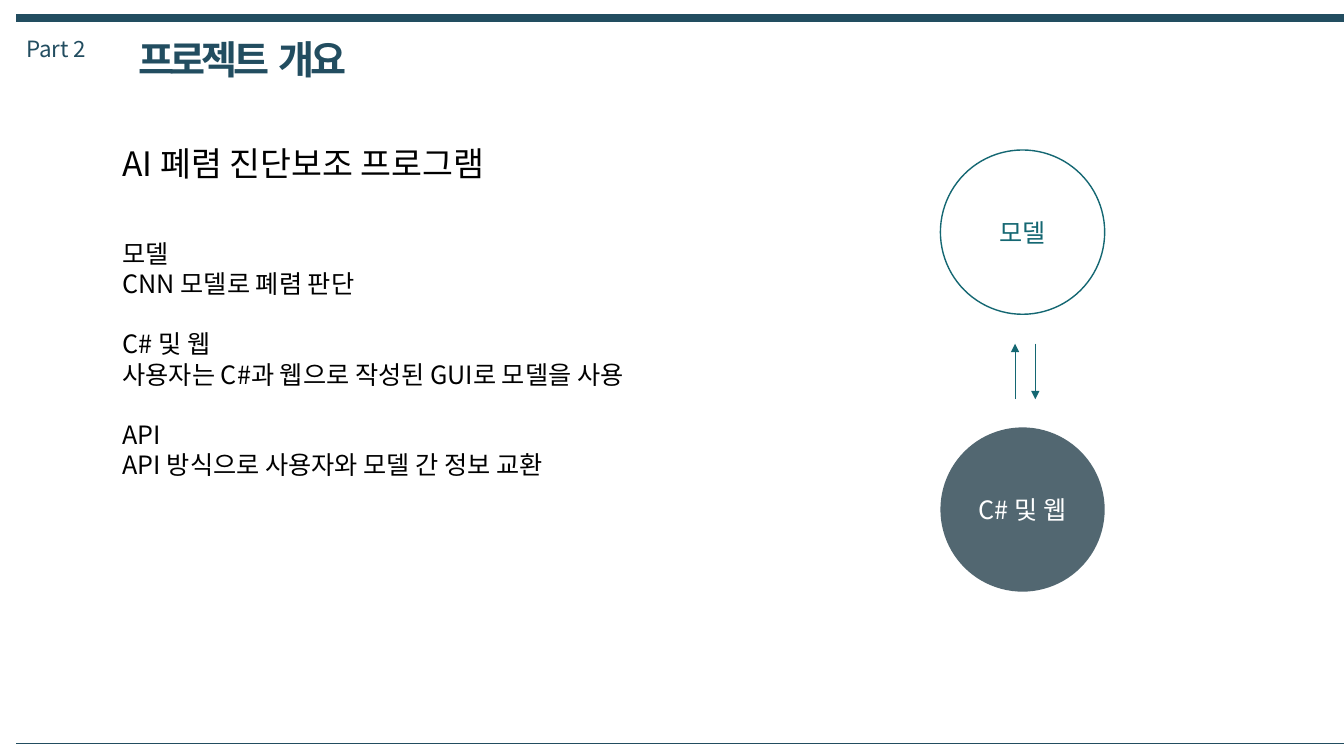
from lxml.etree import SubElement
from pptx import Presentation
from pptx.dml.color import RGBColor
from pptx.enum.shapes import MSO_CONNECTOR, MSO_SHAPE
from pptx.enum.text import MSO_AUTO_SIZE, PP_ALIGN
from pptx.oxml.ns import qn
from pptx.util import Cm, Pt

COLORS = {
    "navy": "224D60",
    "teal": "146772",
    "slate": "27424E",
    "black": "000000",
    "white": "FFFFFF",
}
FONT = "Noto Sans CJK KR"
SLIDE_WIDTH, SLIDE_HEIGHT = 33.87, 19.05


def rgb(name):
    return RGBColor.from_string(COLORS[name])


def add_run(para, text, size, color, bold=False, spacing=0):
    """Add a run; spacing is the character spacing in points."""
    span = para.add_run()
    span.text = text
    span.font.size = Pt(size)
    span.font.bold = bold
    span.font.name = FONT
    span.font.color.rgb = rgb(color)
    properties = span.font._element
    SubElement(properties, qn("a:ea")).set("typeface", FONT)
    if spacing:
        properties.set("spc", str(spacing * 100))


def add_text_box(page, left, top, width, height, wrap=True):
    box = page.shapes.add_textbox(Cm(left), Cm(top), Cm(width), Cm(height))
    box.text_frame.word_wrap = wrap
    box.text_frame.auto_size = MSO_AUTO_SIZE.SHAPE_TO_FIT_TEXT
    return box.text_frame


def add_line(page, start, end, color, width, arrow=False):
    line = page.shapes.add_connector(
        MSO_CONNECTOR.STRAIGHT, *(Cm(value) for value in start + end))
    line.line.color.rgb = rgb(color)
    line.line.width = Pt(width)
    if arrow:
        SubElement(line.line._get_or_add_ln(), qn("a:tailEnd")).set("type", "triangle")
    SubElement(line._element.spPr, qn("a:effectLst"))


def add_header(page, left, top):
    part = add_text_box(page, left, top, 2.03, 0.94, wrap=False)
    add_run(part.paragraphs[0], "Part 2", 16, "navy")
    title = add_text_box(page, left + 2.82, top, 6.1, 1.45, wrap=False)
    for text, spacing in (("프로젝트", -3), (" ", 0), ("개요", -3)):
        add_run(title.paragraphs[0], text, 28, "navy", bold=True, spacing=spacing)


def add_rules(page, left):
    for y, width in ((0.45, 6), (18.72, 0.25)):
        add_line(page, (left, y), (SLIDE_WIDTH, y), "navy", width)


def add_overview(page, left, top, width):
    heading = add_text_box(page, left, top, width, 1.27)
    add_run(heading.paragraphs[0], "AI 폐렴 진단보조 프로그램", 24, "black")

    topics = (
        ("모델", "CNN 모델로 폐렴 판단"),
        ("C# 및 웹", "사용자는 C#과 웹으로 작성된 GUI로 모델을 사용"),
        ("API", "API 방식으로 사용자와 모델 간 정보 교환"),
    )
    body = add_text_box(page, left, top + 2.39, width, 7.19)
    for index, (name, detail) in enumerate(topics):
        para = body.add_paragraph() if index else body.paragraphs[0]
        if index:
            para.space_before = Pt(21.6)
        add_run(para, name, 18, "black")
        add_run(body.add_paragraph(), detail, 18, "black")


def add_node(page, left, top, size, label, fill, text_color, outline=None, opacity=100):
    """Draw a circle of the diagram with its label."""
    circle = page.shapes.add_shape(MSO_SHAPE.OVAL, Cm(left), Cm(top), Cm(size), Cm(size))
    circle.shadow.inherit = False
    circle.fill.solid()
    circle.fill.fore_color.rgb = rgb(fill)
    if opacity < 100:
        color = circle._element.spPr.find(qn("a:solidFill"))[0]
        SubElement(color, qn("a:alpha")).set("val", str(opacity * 1000))
    if outline:
        circle.line.color.rgb = rgb(outline)
        circle.line.width = Pt(1)
    else:
        circle.line.fill.background()

    label_width = 2.87
    frame = add_text_box(page, left + (size - label_width) / 2, top + 1.57, label_width, 1.02)
    frame.paragraphs[0].alignment = PP_ALIGN.CENTER
    add_run(frame.paragraphs[0], label, 18, text_color)


def add_exchange_diagram(page, left, top, size):
    gap = 2.85
    add_node(page, left, top, size, "모델", "white", "teal", outline="teal")
    add_node(page, left, top + size + gap, size, "C# 및 웹", "slate", "white", opacity=80)

    arrow_top = top + size + 0.74
    arrow_bottom = arrow_top + 1.4
    up, down = left + 1.88, left + 2.39
    add_line(page, (up, arrow_bottom), (up, arrow_top), "teal", 0.5, arrow=True)
    add_line(page, (down, arrow_top), (down, arrow_bottom), "teal", 0.5, arrow=True)


def main():
    deck = Presentation()
    deck.slide_width, deck.slide_height = Cm(SLIDE_WIDTH), Cm(SLIDE_HEIGHT)
    page = deck.slides.add_slide(deck.slide_layouts[6])
    add_rules(page, 0.41)
    add_header(page, 0.41, 0.76)
    add_overview(page, 2.84, 3.48, 17)
    add_exchange_diagram(page, 23.7, 3.78, 4.14)
    deck.save("out.pptx")


if __name__ == "__main__":
    main()
